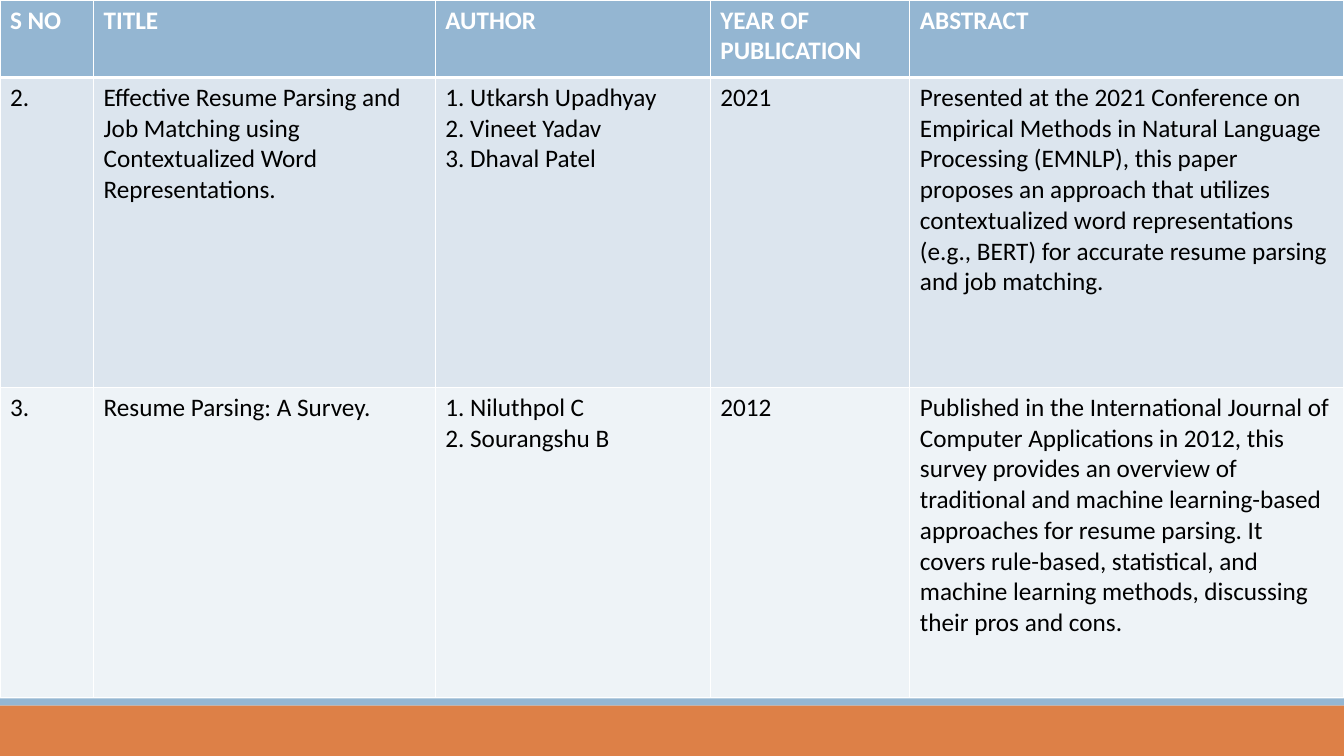
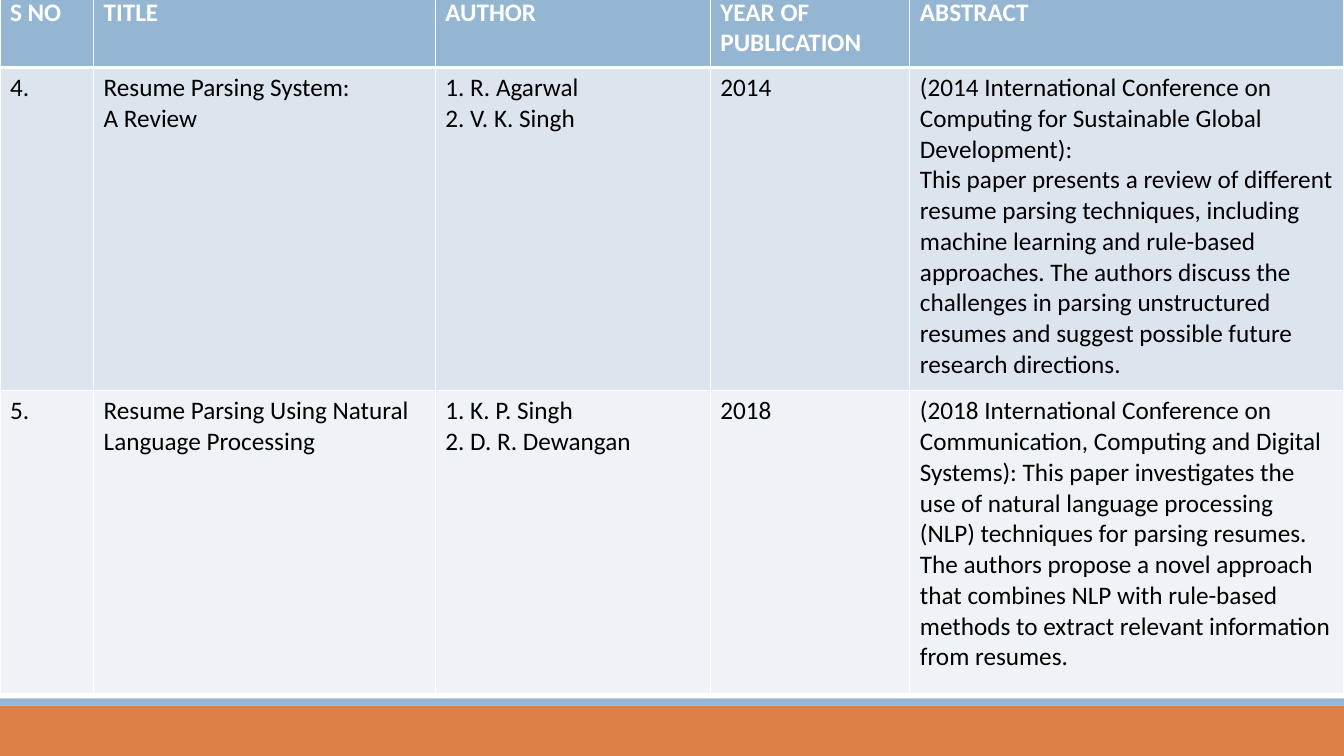
from lxml import etree
from pptx import Presentation
from pptx.dml.color import RGBColor
from pptx.enum.shapes import MSO_SHAPE
from pptx.oxml.ns import qn
from pptx.util import Cm, Pt

RECTANGLE = MSO_SHAPE.RECTANGLE

ORANGE = RGBColor(0xDD, 0x80, 0x47)
BLUE = RGBColor(0x94, 0xB6, 0xD2)
ROW_DARK = RGBColor(0xDC, 0xE5, 0xEE)
ROW_LIGHT = RGBColor(0xEE, 0xF3, 0xF7)
WHITE = RGBColor(0xFF, 0xFF, 0xFF)
BLACK = RGBColor(0, 0, 0)

FONT = "Calibri"
ROW_FILLS = [BLUE, ROW_DARK, ROW_LIGHT]
COLUMN_WIDTHS = [2.36, 8.61, 6.93, 5.03, 10.94]
HEADINGS = ["S NO", "TITLE", "AUTHOR", "YEAR OF PUBLICATION", "ABSTRACT"]

# Each survey page: top of the table, row heights, papers
SURVEY_PAGES = [
    (0, [1.95, 7.81, 7.81], [
        ["2.",
         "Effective Resume Parsing and Job Matching using Contextualized Word "
         "Representations.",
         "1. Utkarsh Upadhyay\n2. Vineet Yadav\n3. Dhaval Patel",
         "2021",
         "Presented at the 2021 Conference on Empirical Methods in Natural "
         "Language Processing (EMNLP), this paper proposes an approach that "
         "utilizes contextualized word representations (e.g., BERT) for "
         "accurate resume parsing and job matching."],
        ["3.",
         "Resume Parsing: A Survey.",
         "1. Niluthpol C\n2. Sourangshu B",
         "2012",
         "Published in the International Journal of Computer Applications in "
         "2012, this survey provides an overview of traditional and machine "
         "learning-based approaches for resume parsing. It covers rule-based, "
         "statistical, and machine learning methods, discussing their pros "
         "and cons."],
    ]),
    (-0.2, [1.9, 8.15, 7.62], [
        ["4.",
         "Resume Parsing System:\nA Review",
         "1. R. Agarwal\n2. V. K. Singh",
         "2014",
         "(2014 International Conference on Computing for Sustainable Global "
         "Development):\n"
         "This paper presents a review of different resume parsing techniques, "
         "including machine learning and rule-based approaches. The authors "
         "discuss the challenges in parsing unstructured resumes and suggest "
         "possible future research directions."],
        ["5.",
         "Resume Parsing Using Natural Language Processing",
         "1. K. P. Singh\n2. D. R. Dewangan",
         "2018",
         "(2018 International Conference on Communication, Computing and "
         "Digital Systems): This paper investigates the use of natural "
         "language processing (NLP) techniques for parsing resumes. The "
         "authors propose a novel approach that combines NLP with rule-based "
         "methods to extract relevant information from resumes."],
    ]),
]


def set_borders(cell, bottom_width):
    """Draw white lines on all four sides of a filled cell."""
    properties = cell._tc.get_or_add_tcPr()
    sides = [("a:lnL", 1), ("a:lnR", 1), ("a:lnT", 1), ("a:lnB", bottom_width)]
    for position, (side, width) in enumerate(sides):
        line = etree.Element(qn(side), w=str(Pt(width)))
        fill = etree.SubElement(line, qn("a:solidFill"))
        etree.SubElement(fill, qn("a:srgbClr"), val=str(WHITE))
        properties.insert(position, line)


prs = Presentation()
prs.slide_width = Cm(33.87)
prs.slide_height = Cm(19.05)
blank_layout = prs.slide_layouts[6]
slides = [prs.slides.add_slide(blank_layout) for _ in SURVEY_PAGES]

# Footer bands: drawn once, then moved to the master
master_shapes = prs.slide_master.shapes.element
for band_id, (top, height, color) in enumerate(
        [(17.78, 1.27, ORANGE), (17.6, 0.18, BLUE)], start=101):
    band = slides[0].shapes.add_shape(
        RECTANGLE, 0, Cm(top), prs.slide_width, Cm(height))
    band.shadow.inherit = False
    band.fill.solid()
    band.fill.fore_color.rgb = color
    band.line.fill.background()
    band.element.nvSpPr.cNvPr.set("id", str(band_id))
    master_shapes.insert(2, band.element)

# Literature survey tables
for slide, (top, row_heights, papers) in zip(slides, SURVEY_PAGES):
    survey = slide.shapes.add_table(
        len(row_heights), len(HEADINGS), 0, Cm(top),
        Cm(sum(COLUMN_WIDTHS)), Cm(sum(row_heights))).table
    survey.horz_banding = False
    for column, width in zip(survey.columns, COLUMN_WIDTHS):
        column.width = Cm(width)
    for row_index, texts in enumerate([HEADINGS] + papers):
        is_header = row_index == 0
        row = survey.rows[row_index]
        row.height = Cm(row_heights[row_index])
        for cell, text in zip(row.cells, texts):
            cell.fill.solid()
            cell.fill.fore_color.rgb = ROW_FILLS[row_index]
            set_borders(cell, 3 if is_header else 1)
            cell.text_frame.text = text
            for paragraph in cell.text_frame.paragraphs:
                for run in paragraph.runs:
                    run.font.name = FONT
                    run.font.size = Pt(18)
                    run.font.bold = is_header
                    run.font.color.rgb = WHITE if is_header else BLACK

prs.save("out.pptx")
